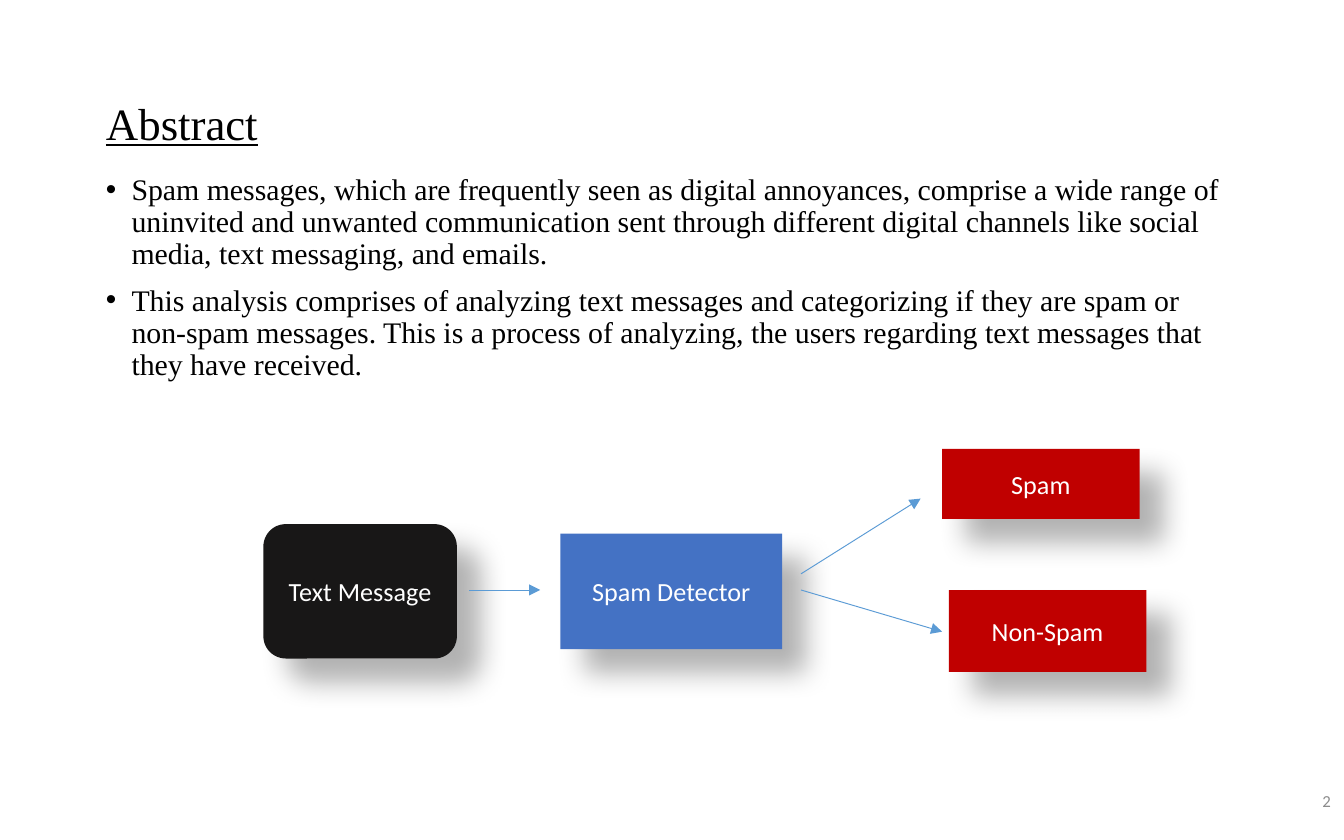
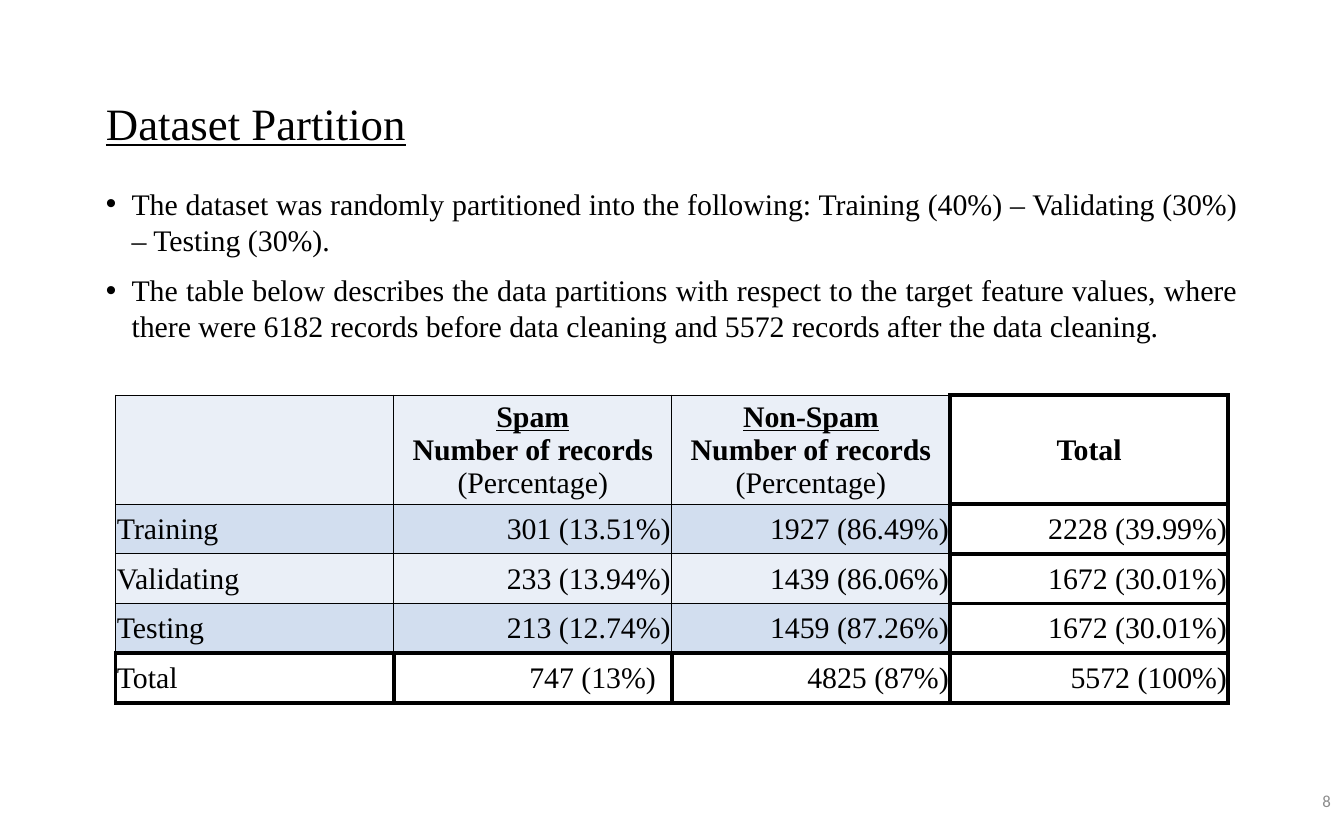
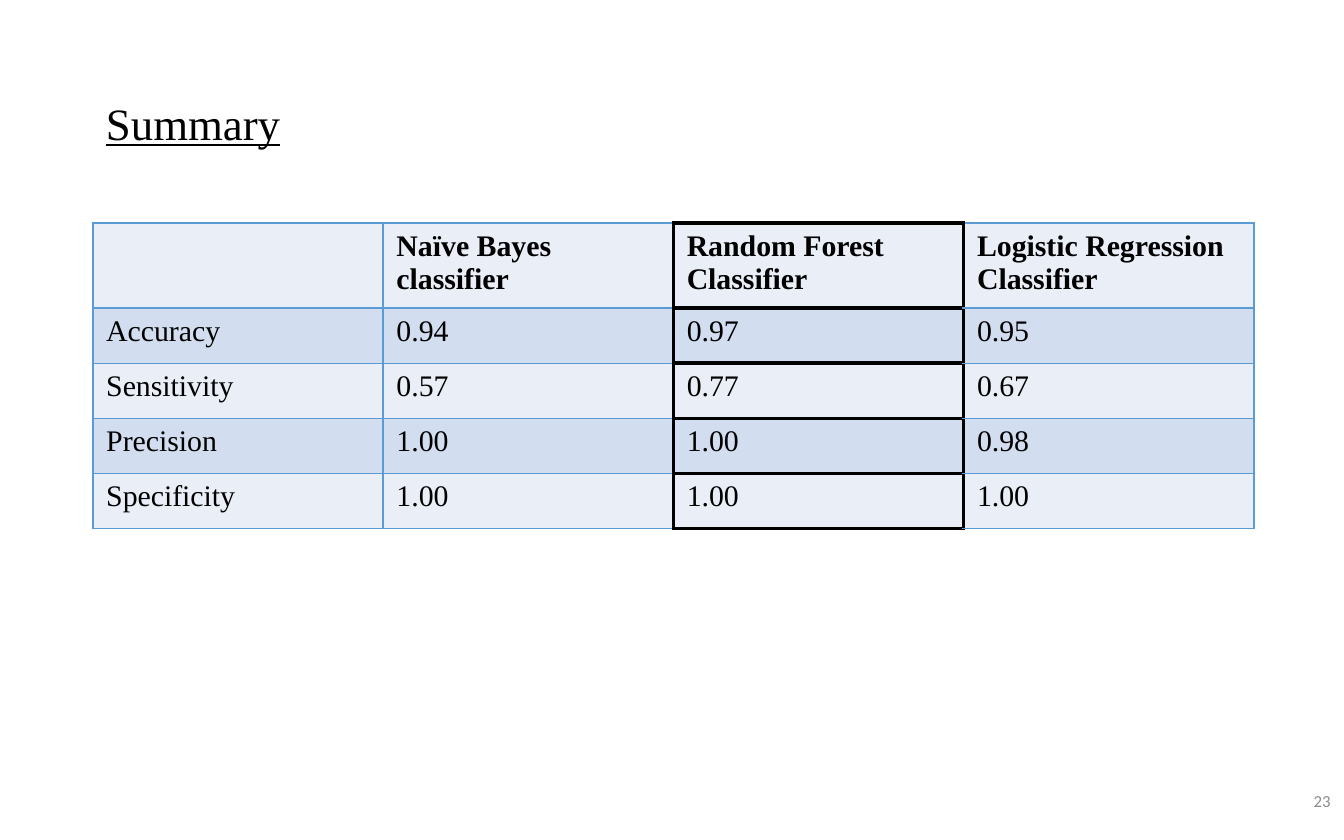
from lxml import etree
from pptx import Presentation
from pptx import util as u
from pptx.dml.color import RGBColor
from pptx.enum import shapes, text
from pptx.oxml import parse_xml
from pptx.oxml.ns import nsdecls, qn

SERIF, SANS = "Times New Roman", "Calibri"
BLACK, WHITE, GRAY = "000000", "FFFFFF", "8C8C8C"
CHARCOAL, BLUE, RED, SKY = "181717", "4472C4", "C00000", "5B9BD5"
BANDS = ("EAEFF7", "D2DEEF")
LEFT, CENTER, RIGHT = text.PP_ALIGN.LEFT, text.PP_ALIGN.CENTER, text.PP_ALIGN.RIGHT
HEAVY = (BLACK, 2.25)


def rgb(color):
    return RGBColor.from_string(color)


def inches(values):
    return [u.Inches(v) for v in values]


def add_run(p, words, size=16, font=SERIF, color=BLACK, bold=False, underline=False):
    r = p.add_run()
    r.text = words
    r.font.size = u.Pt(size)
    r.font.name = font
    r.font.color.rgb = rgb(color)
    r.font.bold = bold
    r.font.underline = underline


def add_box(s, box, anchor=text.MSO_ANCHOR.MIDDLE):
    tf = s.shapes.add_textbox(*inches(box)).text_frame
    tf.word_wrap = True
    tf.vertical_anchor = anchor
    return tf


def add_slide(prs, title, number):
    s = prs.slides.add_slide(prs.slide_layouts[6])
    p = add_box(s, (0.69, 0.33, 8.62, 1.21)).paragraphs[0]
    p.line_spacing = 0.9
    add_run(p, title, 24, underline=True)
    p = add_box(s, (7.06, 5.79, 2.94, 0.33)).paragraphs[0]
    p.alignment = RIGHT
    add_run(p, number, 9, SANS, GRAY)
    return s


def add_bullets(s, box, items, align=LEFT, spacing=1.0, before=0, after=0):
    tf = add_box(s, box, text.MSO_ANCHOR.TOP)
    for i, item in enumerate(items):
        p = tf.add_paragraph() if i else tf.paragraphs[0]
        p.alignment = align
        p.line_spacing = spacing
        p.space_before, p.space_after = u.Pt(before), u.Pt(after)
        add_run(p, item)
        pPr = p._p.get_or_add_pPr()
        pPr.set("marL", str(u.Inches(0.19)))
        pPr.set("indent", str(-u.Inches(0.19)))
        etree.SubElement(pPr, qn("a:buFont"), typeface="Arial")
        etree.SubElement(pPr, qn("a:buChar"), char="•")


def add_node(s, label, box, color, kind=shapes.MSO_SHAPE.RECTANGLE):
    sp = s.shapes.add_shape(kind, *inches(box))
    sp.fill.solid()
    sp.fill.fore_color.rgb = rgb(color)
    sp.line.fill.background()
    sp.shadow.inherit = False
    effects = sp._element.spPr.find(qn("a:effectLst"))
    effects.append(parse_xml(
        f'<a:outerShdw {nsdecls("a")} blurRad="{u.Pt(15)}" dist="{u.Pt(18)}" dir="2700000" '
        f'algn="tl" rotWithShape="0"><a:srgbClr val="{BLACK}"><a:alpha val="30000"/>'
        '</a:srgbClr></a:outerShdw>'))
    tf = sp.text_frame
    tf.word_wrap = True
    tf.vertical_anchor = text.MSO_ANCHOR.MIDDLE
    p = tf.paragraphs[0]
    p.alignment = CENTER
    add_run(p, label, 14, SANS, WHITE)


def add_arrow(s, start, end):
    line = s.shapes.add_connector(shapes.MSO_CONNECTOR.STRAIGHT, *inches(start + end))
    line.line.color.rgb = rgb(SKY)
    line.line.width = u.Pt(0.5)
    etree.SubElement(line.line._get_or_add_ln(), qn("a:tailEnd"), type="triangle")
    etree.SubElement(line._element.spPr, qn("a:effectLst"))


def set_borders(cell, row, col, is_heavy, light):
    sides = {"lnL": (0, -1), "lnR": (0, 1), "lnT": (-1, 0), "lnB": (1, 0)}
    tcPr = cell._tc.get_or_add_tcPr()
    for tag, (dr, dc) in sides.items():
        heavy = is_heavy(row, col) or is_heavy(row + dr, col + dc)
        color, width = HEAVY if heavy else light
        tcPr.append(parse_xml(
            f'<a:{tag} {nsdecls("a")} w="{u.Pt(width)}"><a:solidFill>'
            f'<a:srgbClr val="{color}"/></a:solidFill></a:{tag}>'))


def add_grid(s, left, top, col_width, heights, n_cols, is_heavy, light, white_totals=False):
    n_rows = len(heights)
    table = s.shapes.add_table(n_rows, n_cols, *inches(
        (left, top, col_width * n_cols, sum(heights)))).table
    table.first_row = table.horz_banding = False
    for column in table.columns:
        column.width = u.Inches(col_width)
    for i, height in enumerate(heights):
        table.rows[i].height = u.Inches(height)
        for j in range(n_cols):
            cell = table.cell(i, j)
            set_borders(cell, i, j, is_heavy, light)
            cell.fill.solid()
            white = white_totals and is_heavy(i, j)
            cell.fill.fore_color.rgb = rgb(WHITE if white else BANDS[i % 2])
    return table


def tighten(cell):
    cell.vertical_anchor = text.MSO_ANCHOR.MIDDLE
    cell.margin_left = cell.margin_right = cell.margin_top = u.Inches(0.01)
    cell.margin_bottom = 0


def abstract_slide(prs):
    s = add_slide(prs, "Abstract", "2")
    add_bullets(s, (0.69, 1.25, 8.62, 4.42), [
        "Spam messages, which are frequently seen as digital annoyances, comprise a wide range of "
        "uninvited and unwanted communication sent through different digital channels like social "
        "media, text messaging, and emails.",
        "This analysis comprises of analyzing text messages and categorizing if they are spam or "
        "non-spam messages. This is a process of analyzing, the users regarding text messages that "
        "they have received.",
    ], spacing=0.9, before=7.5)
    add_node(s, "Text Message", (1.96, 3.9, 1.44, 1), CHARCOAL,
             shapes.MSO_SHAPE.ROUNDED_RECTANGLE)
    add_node(s, "Spam Detector", (4.17, 3.97, 1.65, 0.86), BLUE)
    add_node(s, "Spam", (7.01, 3.34, 1.47, 0.52), RED)
    add_node(s, "Non-Spam", (7.06, 4.39, 1.47, 0.61), RED)
    add_arrow(s, (3.49, 4.39), (4.02, 4.39))
    add_arrow(s, (5.96, 4.39), (7.01, 4.7))
    add_arrow(s, (5.96, 4.27), (6.85, 3.71))


def partition_slide(prs):
    s = add_slide(prs, "Dataset Partition", "8")
    add_bullets(s, (0.69, 1.33, 8.62, 4.22), [
        "The dataset was randomly partitioned into the following: Training (40%) – Validating (30%) "
        "– Testing (30%).",
        "The table below describes the data partitions with respect to the target feature values, "
        "where there were 6182 records before data cleaning and 5572 records after the data cleaning.",
    ], align=text.PP_ALIGN.JUSTIFY, after=8)
    rows = [
        ("Training", "301 (13.51%)", "1927 (86.49%)", "2228 (39.99%)"),
        ("Validating", "233 (13.94%)", "1439 (86.06%)", "1672 (30.01%)"),
        ("Testing", "213 (12.74%)", "1459 (87.26%)", "1672 (30.01%)"),
        ("Total", "747 (13%)", "4825 (87%)", "5572 (100%)"),
    ]
    table = add_grid(s, 0.86, 2.94, 2.07, [0.75] + [0.37] * len(rows), 4,
                     lambda row, col: row == 4 or col == 3, (BLACK, 0.5), white_totals=True)
    for j, label in enumerate(("Spam", "Non-Spam", "Total"), 1):
        cell = table.cell(0, j)
        tighten(cell)
        tf = cell.text_frame
        is_class = label != "Total"
        add_run(tf.paragraphs[0], label, bold=True, underline=is_class)
        if is_class:
            p = tf.add_paragraph()
            add_run(p, "Number of records ", bold=True)
            add_run(p, "(Percentage)")
        for p in tf.paragraphs:
            p.alignment = CENTER
    for i, row in enumerate(rows, 1):
        for j, value in enumerate(row):
            cell = table.cell(i, j)
            tighten(cell)
            p = cell.text_frame.paragraphs[0]
            p.alignment = RIGHT if j else LEFT
            add_run(p, value)
    table.cell(4, 1).margin_right = u.Inches(0.12)


def summary_slide(prs):
    s = add_slide(prs, "Summary", "23")
    rows = [
        ("", "Naïve Bayes classifier", "Random Forest Classifier", "Logistic Regression Classifier"),
        ("Accuracy", "0.94", "0.97", "0.95"),
        ("Sensitivity", "0.57", "0.77", "0.67"),
        ("Precision", "1.00", "1.00", "0.98"),
        ("Specificity", "1.00", "1.00", "1.00"),
    ]
    table = add_grid(s, 0.69, 1.66, 2.16, [0.6] + [0.41] * 4, 4,
                     lambda row, col: col == 2, (SKY, 1))
    for i, row in enumerate(rows):
        for j, value in enumerate(row):
            if value:
                add_run(table.cell(i, j).text_frame.paragraphs[0], value, bold=i == 0)


def main():
    prs = Presentation()
    prs.slide_width, prs.slide_height = inches((10, 6.25))
    abstract_slide(prs)
    partition_slide(prs)
    summary_slide(prs)
    prs.save("out.pptx")


if __name__ == "__main__":
    main()
